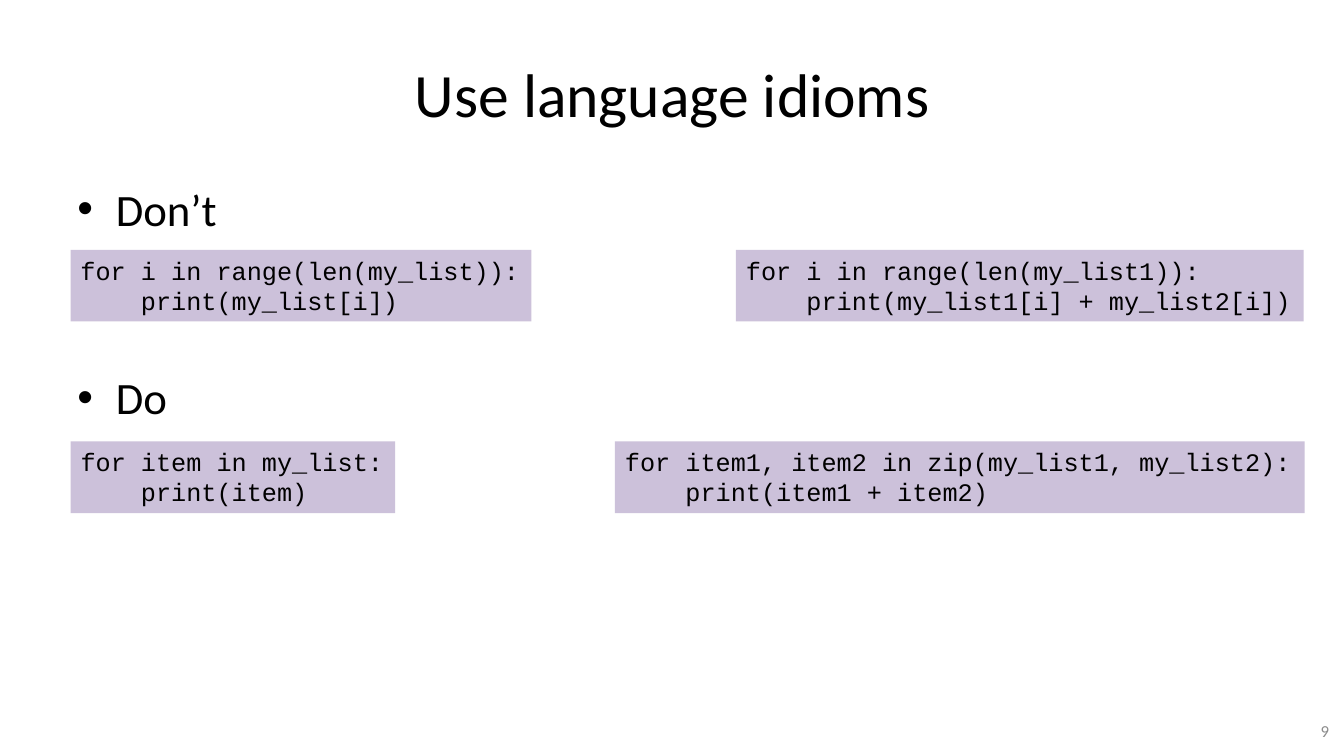
from lxml import etree
from pptx import Presentation
from pptx.dml.color import RGBColor
from pptx.enum.shapes import MSO_SHAPE
from pptx.enum.text import MSO_ANCHOR, MSO_AUTO_SIZE, PP_ALIGN
from pptx.oxml.ns import qn
from pptx.util import Inches, Pt


def color(value):
    return RGBColor.from_string(value)


class SlideWriter:
    text_font, code_font = "Calibri", "Courier New"
    ink, muted, code_fill = "000000", "8C8C8C", "CCC1DA"
    code_size = 18
    code_indent = 0.6  # four monospaced characters

    def __init__(self, page):
        self.page = page

    def add_span(self, para, text, size, font, ink):
        span = para.add_run()
        span.text = text
        span.font.size = Pt(size)
        span.font.name = font
        span.font.color.rgb = color(ink)

    def text_frame(self, left, top, width, height, anchor=MSO_ANCHOR.MIDDLE):
        box = self.page.shapes.add_textbox(
            Inches(left), Inches(top), Inches(width), Inches(height))
        box.text_frame.word_wrap = True
        box.text_frame.vertical_anchor = anchor
        return box.text_frame

    def label(self, text, area, size, align, ink):
        para = self.text_frame(*area).paragraphs[0]
        para.alignment = align
        self.add_span(para, text, size, self.text_font, ink)

    def bullets(self, items, area, size, gap):
        frame = self.text_frame(*area, anchor=MSO_ANCHOR.TOP)
        for index, text in enumerate(items):
            para = frame.add_paragraph() if index else frame.paragraphs[0]
            para.space_before = Pt(gap if index else 0)
            properties = para._p.get_or_add_pPr()
            properties.set("marL", str(Inches(0.38)))
            properties.set("indent", str(Inches(-0.38)))
            etree.SubElement(properties, qn("a:buFont")).set("typeface", "Arial")
            etree.SubElement(properties, qn("a:buChar")).set("char", "•")
            self.add_span(para, text, size, self.text_font, self.ink)

    def code(self, header, body, left, top, width):
        box = self.page.shapes.add_shape(
            MSO_SHAPE.RECTANGLE, Inches(left), Inches(top), Inches(width), Inches(0.71))
        box.shadow.inherit = False
        box.fill.solid()
        box.fill.fore_color.rgb = color(self.code_fill)
        box.line.fill.background()
        frame = box.text_frame
        frame.word_wrap = False
        frame.auto_size = MSO_AUTO_SIZE.SHAPE_TO_FIT_TEXT
        frame.vertical_anchor = MSO_ANCHOR.TOP
        for para, text, indent in ((frame.paragraphs[0], header, 0),
                                   (frame.add_paragraph(), body, self.code_indent)):
            para.alignment = PP_ALIGN.LEFT
            para._p.get_or_add_pPr().set("marL", str(Inches(indent)))
            self.add_span(para, text, self.code_size, self.code_font, self.ink)


def main():
    deck = Presentation()
    deck.slide_width, deck.slide_height = Inches(13.33), Inches(7.5)
    writer = SlideWriter(deck.slides.add_slide(deck.slide_layouts[6]))

    # Title, bullets and page number
    writer.label("Use language idioms", (0.67, 0.3, 12, 1.25), 44,
                 PP_ALIGN.CENTER, writer.ink)
    writer.bullets(["Don’t", "Do"], (0.67, 1.75, 12, 4.95), 32, gap=96)
    writer.label("9", (10.17, 7.05, 3.11, 0.4), 12, PP_ALIGN.RIGHT, writer.muted)

    # Code examples: one row to avoid, one row to prefer
    dont_top, do_top = 2.48, 4.38
    writer.code("for i in range(len(my_list)):", "print(my_list[i])",
                0.7, dont_top, 4.57)
    writer.code("for item in my_list:", "print(item)", 0.7, do_top, 3.22)
    writer.code("for i in range(len(my_list1)):", "print(my_list1[i] + my_list2[i])",
                7.3, dont_top, 5.63)
    writer.code("for item1, item2 in zip(my_list1, my_list2):", "print(item1 + item2)",
                6.1, do_top, 6.84)

    deck.save("out.pptx")


if __name__ == "__main__":
    main()
